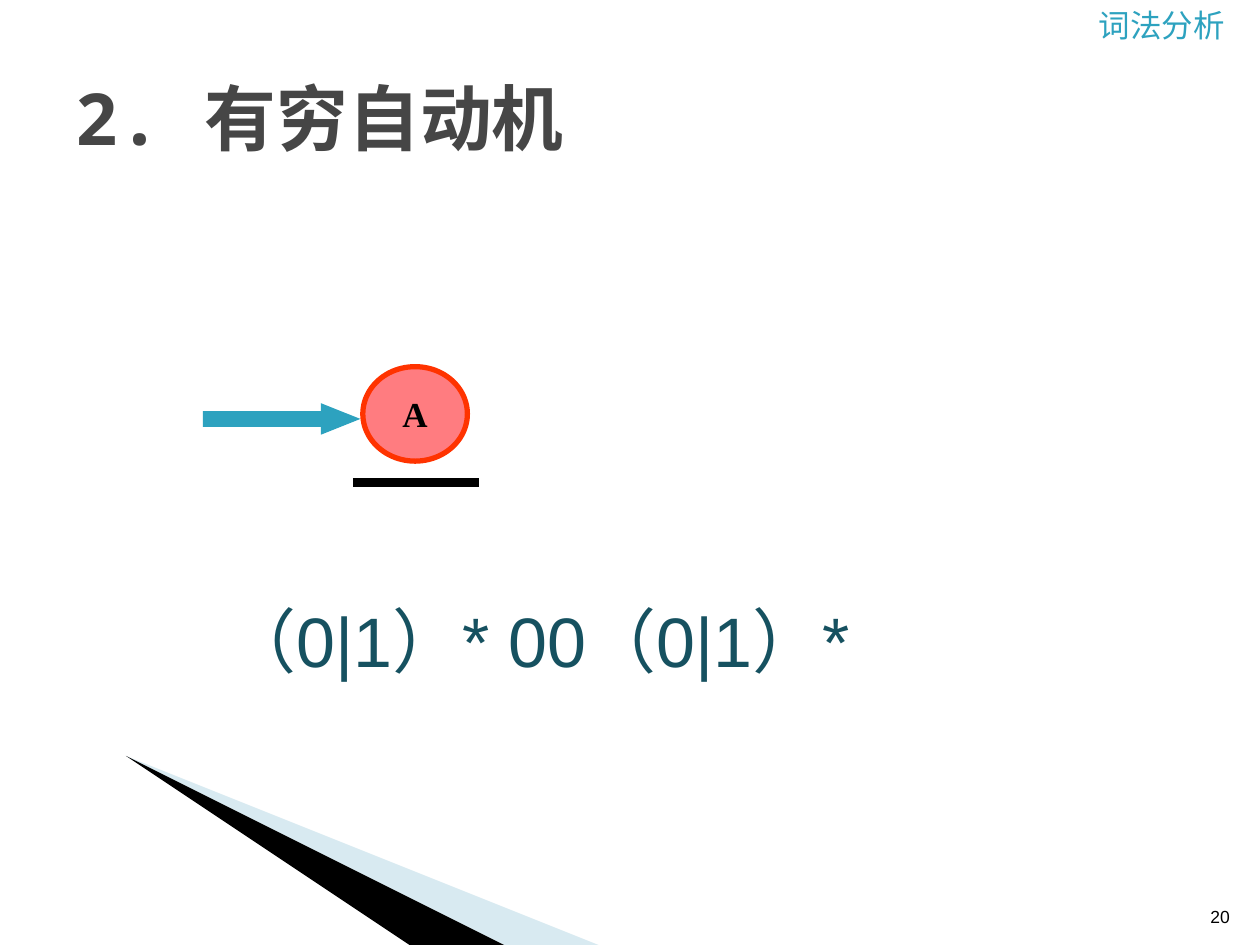
"""Build the finite automaton slide with its start state and regular expression."""
import dataclasses

import lxml.etree
import pptx
import pptx.dml.color
import pptx.enum.shapes
import pptx.enum.text
import pptx.oxml.ns
import pptx.util

Inches = pptx.util.Inches
Shape = pptx.enum.shapes.MSO_SHAPE
Align = pptx.enum.text.PP_ALIGN
Anchor = pptx.enum.text.MSO_ANCHOR
qn = pptx.oxml.ns.qn


@dataclasses.dataclass(frozen=True)
class Theme:
    accent: str = "2DA2BF"
    title: str = "464646"
    formula: str = "165160"
    ink: str = "000000"
    pale: str = "9FCBDC"
    state: str = "FF7C80"
    ring: str = "FF3300"
    sans: str = "Arial"
    mono: str = "Noto Sans Mono"
    serif: str = "Times New Roman"
    title_size: int = 41
    formula_size: int = 40
    state_size: int = 20
    header_size: int = 18
    number_size: int = 10


THEME = Theme()
WIDTH, HEIGHT = 10, 7.5
TITLE = "2. 有穷自动机"
STATE = "A"
STATE_AREA = (2.88, 2.91, 0.83, 0.75)
ARROW_AREA = (1.61, 3.2, 1.25, 0.25)
UNDERLINE = (2.8, 3.83, 3.8, 3.83)
LABELS = [
    ("词法分析", (8.62, 0, 1.38, 0.4),
     dict(size=THEME.header_size, color=THEME.accent)),
    ("20", (9.46, 7.01, 0.4, 0.4),
     dict(size=THEME.number_size, align=Align.RIGHT, anchor=Anchor.BOTTOM)),
    ("（0|1）* 00（0|1）*", (1.7, 4.69, 6.08, 0.77),
     dict(size=THEME.formula_size, color=THEME.formula, wrap=False)),
]
WEDGES = [
    ([(0.55, 6.5), (5.9, HEIGHT), (4.52, HEIGHT)], THEME.pale, 40),
    ([(0.53, 6.49), (4.53, HEIGHT), (3.67, HEIGHT)], THEME.ink, 100),
]


def rgb(value):
    return pptx.dml.color.RGBColor.from_string(value)


def write(box, text, *, size, color=THEME.ink, font=THEME.sans, bold=False,
          align=Align.LEFT, anchor=Anchor.TOP, wrap=True):
    frame = box.text_frame
    frame.auto_size = pptx.enum.text.MSO_AUTO_SIZE.NONE
    frame.word_wrap = wrap
    frame.vertical_anchor = anchor
    frame.margin_left = frame.margin_right = Inches(0.1)
    frame.margin_top = frame.margin_bottom = Inches(0.05)
    para = frame.paragraphs[0]
    para.alignment = align
    span = para.add_run()
    span.text = text
    span.font.size = pptx.util.Pt(size)
    span.font.name = font
    span.font.bold = bold
    span.font.color.rgb = rgb(color)
    east_asian = lxml.etree.SubElement(span.font._element, qn("a:ea"))
    east_asian.set("typeface", font)


def paint(shape, color, opacity=100):
    shape.shadow.inherit = False
    shape.fill.solid()
    shape.fill.fore_color.rgb = rgb(color)
    shape.line.fill.background()
    if opacity < 100:
        swatch = shape.fill._xPr.find(".//" + qn("a:srgbClr"))
        alpha = lxml.etree.SubElement(swatch, qn("a:alpha"))
        alpha.set("val", str(opacity * 1000))


def add_wedge(page, points, color, opacity):
    start, *rest = points
    builder = page.shapes.build_freeform(*start, scale=Inches(1))
    builder.add_line_segments(rest, close=True)
    paint(builder.convert_to_shape(), color, opacity)


def add_preset(page, kind, area, color):
    shape = page.shapes.add_shape(kind, *map(Inches, area))
    paint(shape, color)
    return shape


def main():
    deck = pptx.Presentation()
    deck.slide_width, deck.slide_height = Inches(WIDTH), Inches(HEIGHT)
    page = deck.slides.add_slide(deck.slide_layouts[5])

    for wedge in WEDGES:
        add_wedge(page, *wedge)
    for text, area, style in LABELS:
        write(page.shapes.add_textbox(*map(Inches, area)), text, **style)

    arrow = add_preset(page, Shape.RIGHT_ARROW, ARROW_AREA, THEME.accent)
    arrow.adjustments[0], arrow.adjustments[1] = 0.5, 1.25

    underline = page.shapes.add_connector(
        pptx.enum.shapes.MSO_CONNECTOR.STRAIGHT, *map(Inches, UNDERLINE))
    underline.line.color.rgb = rgb(THEME.ink)
    underline.line.width = pptx.util.Pt(5)
    lxml.etree.SubElement(underline._element.spPr, qn("a:effectLst"))

    state = add_preset(page, Shape.OVAL, STATE_AREA, THEME.state)
    state.line.color.rgb = rgb(THEME.ring)
    state.line.width = pptx.util.Pt(3)
    write(state, STATE, size=THEME.state_size, font=THEME.serif, bold=True,
          align=Align.CENTER, anchor=Anchor.MIDDLE, wrap=False)

    title = page.shapes.title
    title.left, title.top = Inches(0.05 * WIDTH), Inches(0.04 * HEIGHT)
    title.width, title.height = Inches(0.9 * WIDTH), Inches(HEIGHT / 6)
    write(title, TITLE, size=THEME.title_size, color=THEME.title,
          font=THEME.mono, bold=True, anchor=Anchor.MIDDLE)
    deck.save("out.pptx")


if __name__ == "__main__":
    main()
